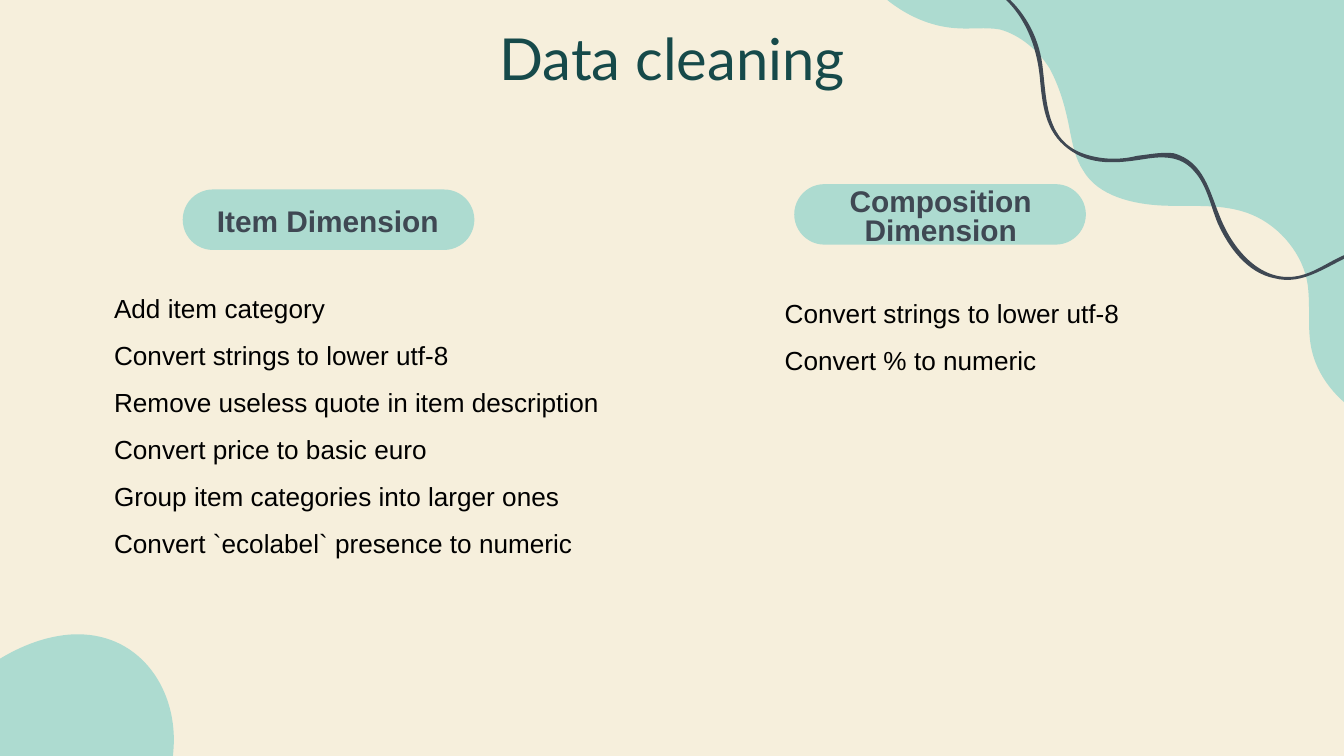
from pptx import Presentation
from pptx.dml.color import RGBColor
from pptx.enum import shapes, text
from pptx.oxml import ns, xmlchemy
from pptx.util import Pt

CREAM, MINT, SLATE, TEAL, BLACK = "F6EFDC", "ADDBD0", "3F4853", "164A4A", "000000"
OUTLINE_UNIT = Pt(0.72)

# Outlines in units of 0.72 pt: a start, then one end point per line
# or two control points and an end point per curve
BOTTOM_BLOB = [
    [(58, 472)],
    [(57, 472), (56, 472), (55, 472)],
    [(33, 473), (12, 482), (-6, 494)],
    [(-48, 521), (-77, 567), (-88, 616)],
    [(104, 616)],
    [(118, 598), (128, 578), (129, 559)],
    [(133, 514), (105, 472), (58, 472)],
]
CORNER_BLOB = [
    [(975, 255)],
    [(973, 241), (975, 227), (973, 212)],
    [(970, 190), (953, 169), (932, 160)],
    [(911, 151), (887, 154), (865, 153)],
    [(843, 152), (817, 146), (806, 127)],
    [(800, 118), (798, 107), (796, 97)],
    [(793, 81), (789, 66), (781, 51)],
    [(773, 38), (759, 26), (744, 22)],
    [(733, 20), (722, 22), (711, 21)],
    [(682, 19), (656, 1), (639, -22)],
    [(638, -23), (637, -24), (636, -25)],
    [(644, -39), (652, -55), (667, -60)],
    [(693, -70), (719, -44), (747, -42)],
    [(769, -40), (789, -53), (808, -65)],
    [(851, -91), (904, -110), (951, -91)],
    [(963, -87), (974, -80), (983, -72)],
    [(1001, -56), (1015, -35), (1022, -12)],
    [(1033, 25), (1028, 66), (1035, 103)],
    [(1035, 317)],
    [(1034, 317), (1033, 317), (1032, 317)],
    [(1003, 308), (979, 284), (975, 255)],
]
WAVE = [
    [(1092, 189)],
    [(1074, 181), (1053, 178), (1033, 180)],
    [(1023, 182), (1014, 184), (1005, 188)],
    [(993, 192), (983, 200), (971, 204)],
    [(941, 214), (918, 187), (908, 162)],
    [(900, 143), (896, 120), (873, 114)],
    [(864, 113), (855, 115), (846, 116)],
    [(834, 119), (821, 119), (808, 115)],
    [(779, 106), (779, 78), (776, 52)],
    [(772, 8), (736, -24), (692, -24)],
    [(683, -25), (675, -23), (666, -20)],
    [(665, -20), (666, -17), (667, -18)],
    [(692, -26), (718, -22), (739, -8)],
    [(762, 8), (772, 34), (774, 61)],
    [(776, 82), (779, 101), (798, 113)],
    [(815, 124), (835, 121), (854, 118)],
    [(868, 116), (880, 117), (889, 128)],
    [(898, 138), (901, 154), (906, 166)],
    [(914, 184), (928, 203), (948, 207)],
    [(970, 213), (988, 197), (1008, 189)],
    [(1031, 181), (1056, 180), (1079, 187)],
    [(1083, 188), (1087, 189), (1091, 191)],
    [(1093, 192), (1094, 189), (1092, 189)],
]

# Heading, pill position, label position, body box, body lines
COLUMNS = [
    ("Item Dimension", (97.92, 101.52), (101.52, 112.32),
     (54, 144.72, 293.76, 156.96), [
         "Add item category",
         "Convert strings to lower utf-8",
         "Remove useless quote in item description",
         "Convert price to basic euro",
         "Group item categories into larger ones",
         "Convert `ecolabel` presence to numeric",
     ]),
    ("Composition Dimension", (425.52, 98.64), (429.84, 101.52),
     (413.28, 147.6, 218.88, 55.44), [
         "Convert strings to lower utf-8",
         "Convert % to numeric",
     ]),
]


def color(value):
    return RGBColor.from_string(value)


def fill_shape(shape, value):
    shape.shadow.inherit = False
    shape.fill.solid()
    shape.fill.fore_color.rgb = color(value)
    shape.line.fill.background()


def add_outline(slide, segments, value):
    points = [point for segment in segments for point in segment]
    builder = slide.shapes.build_freeform(*points[0], scale=OUTLINE_UNIT)
    builder.add_line_segments(points[1:], close=True)
    shape = builder.convert_to_shape()

    # Join each run of three points into one curve
    lines = iter(shape.element.findall(".//" + ns.qn("a:lnTo")))
    for segment in segments[1:]:
        line = next(lines)
        if len(segment) == 3:
            curve = xmlchemy.OxmlElement("a:cubicBezTo")
            line.addprevious(curve)
            for part in (line, next(lines), next(lines)):
                curve.append(part[0])
                part.getparent().remove(part)
    fill_shape(shape, value)


def set_text(shape, lines, size, font_name, value, spacing=None, heading=False, bold=False):
    frame = shape.text_frame
    frame.text = "\n".join(lines)
    frame.word_wrap = True
    frame.vertical_anchor = text.MSO_ANCHOR.TOP
    if heading:
        frame.auto_size = text.MSO_AUTO_SIZE.NONE
        frame.margin_left = frame.margin_right = Pt(0)
        frame.margin_top = frame.margin_bottom = Pt(0)
    else:
        frame.auto_size = text.MSO_AUTO_SIZE.SHAPE_TO_FIT_TEXT
    for paragraph in frame.paragraphs:
        paragraph.alignment = text.PP_ALIGN.CENTER if heading else text.PP_ALIGN.LEFT
        if spacing:
            paragraph.line_spacing = spacing
        for run in paragraph.runs:
            run.font.name = font_name
            run.font.size = Pt(size)
            run.font.bold = bold
            run.font.color.rgb = color(value)


def add_title(slide, title):
    shape = slide.shapes.title
    shape.left, shape.top, shape.width, shape.height = map(Pt, (56.16, 12.24, 607.68, 36))
    set_text(shape, [title], 31, "Lato", TEAL, heading=True)


def add_column(slide, heading, pill_position, label_position, body_box, lines):
    body = slide.shapes.add_textbox(*map(Pt, body_box))
    set_text(body, lines, 14, "Arial", BLACK, spacing=1.5)

    pill = slide.shapes.add_shape(shapes.MSO_SHAPE.ROUNDED_RECTANGLE,
                                  *map(Pt, (*pill_position, 156.24, 32.4)))
    pill.adjustments[0] = 0.5
    fill_shape(pill, MINT)

    label = slide.shapes.add_textbox(*map(Pt, (*label_position, 148.32, 21.6)))
    set_text(label, [heading], 16, "Arial", SLATE, spacing=0.8, heading=True, bold=True)


def main():
    presentation = Presentation()
    presentation.slide_width, presentation.slide_height = Pt(720), Pt(405)
    slide = presentation.slides.add_slide(presentation.slide_layouts[5])
    slide.background.fill.solid()
    slide.background.fill.fore_color.rgb = color(CREAM)

    # Decoration
    add_outline(slide, BOTTOM_BLOB, MINT)
    add_outline(slide, CORNER_BLOB, MINT)
    add_outline(slide, WAVE, SLATE)

    # Content
    add_title(slide, "Data cleaning")
    for column in COLUMNS:
        add_column(slide, *column)

    presentation.save("out.pptx")


if __name__ == "__main__":
    main()
